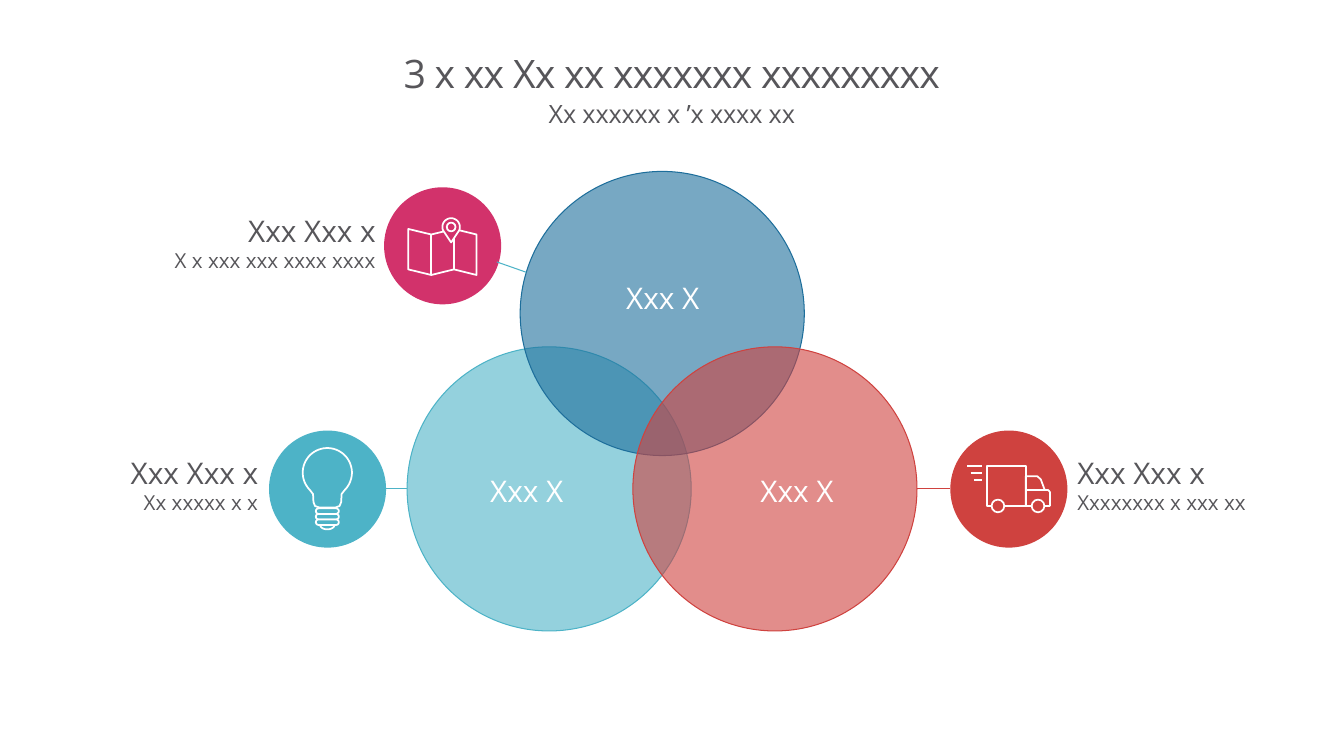
from math import cos, radians, sin

from lxml import etree
from pptx import Presentation
from pptx.dml.color import RGBColor
from pptx.enum.shapes import MSO_CONNECTOR, MSO_SHAPE
from pptx.enum.text import MSO_ANCHOR, MSO_AUTO_SIZE, PP_ALIGN
from pptx.oxml.ns import qn
from pptx.util import Cm, Pt

OVAL = MSO_SHAPE.OVAL
PILL = MSO_SHAPE.ROUNDED_RECTANGLE
STRAIGHT = MSO_CONNECTOR.STRAIGHT
TOP, MIDDLE = MSO_ANCHOR.TOP, MSO_ANCHOR.MIDDLE
NO_FIT, GROW = MSO_AUTO_SIZE.NONE, MSO_AUTO_SIZE.SHAPE_TO_FIT_TEXT
LEFT, CENTER, RIGHT = PP_ALIGN.LEFT, PP_ALIGN.CENTER, PP_ALIGN.RIGHT

COLORS = {"text": "57565A", "white": "FFFFFF", "teal": "4DB3C7",
          "blue": "1D6E9B", "red": "CF423F", "pink": "D2326B"}
FONT = "Open Sans"
VENN_SIZE = 7.16
BADGE_SIZE = 2.95
ICON_LINE = 1.25


def rgb(name):
    return RGBColor.from_string(COLORS[name])


# Text
def format_paragraph(paragraph, size, color, align, line_spacing):
    paragraph.alignment = align
    paragraph.line_spacing = line_spacing
    paragraph.space_before = Pt(0)
    for run in paragraph.runs:
        run.font.name = FONT
        run.font.size = Pt(size)
        run.font.color.rgb = rgb(color)


def fill_placeholder(holder, text, box, size, tracking, anchor):
    holder.left, holder.top, holder.width, holder.height = map(Cm, box)
    frame = holder.text_frame
    frame.margin_left = frame.margin_right = 0
    frame.margin_top = frame.margin_bottom = 0
    frame.vertical_anchor = anchor
    frame.auto_size = NO_FIT
    frame.text = text
    heading = frame.paragraphs[0]
    properties = heading._p.get_or_add_pPr()
    properties.set("marL", "0")
    properties.set("indent", "0")
    etree.SubElement(properties, qn("a:buNone"))
    format_paragraph(heading, size, "text", CENTER, 0.86)
    heading.runs[0].font._element.set("spc", str(tracking))


def add_text(shapes, lines, box, color, align):
    frame = shapes.add_textbox(*map(Cm, box)).text_frame
    frame.word_wrap = True
    frame.auto_size = GROW
    frame.text = "\n".join(lines)
    for paragraph, size in zip(frame.paragraphs, (21.3, 14.7)):
        format_paragraph(paragraph, size, color, align, 0.95)


# Shapes and lines
def paint(shape, fill=None, line=None, width=0.75, opacity=None):
    shape.shadow.inherit = False
    if fill:
        shape.fill.solid()
        shape.fill.fore_color.rgb = rgb(fill)
    else:
        shape.fill.background()
    if opacity:
        color = shape.fill._xPr.find(".//" + qn("a:srgbClr"))
        etree.SubElement(color, qn("a:alpha"), val=str(opacity * 1000))
    if line:
        shape.line.color.rgb = rgb(line)
        shape.line.width = Pt(width)
    else:
        shape.line.fill.background()


def add_circle(shapes, left, top, size, **style):
    paint(shapes.add_shape(OVAL, Cm(left), Cm(top), Cm(size), Cm(size)), **style)


def add_ring(shapes, x, y, radius, fill=None):
    add_circle(shapes, x - radius, y - radius, 2 * radius,
               fill=fill, line="white", width=ICON_LINE)


def add_outline(shapes, points, closed=True, fill=None):
    corners = [(Cm(x), Cm(y)) for x, y in points]
    builder = shapes.build_freeform(*corners[0], scale=1.0)
    builder.add_line_segments(corners[1:], close=closed)
    paint(builder.convert_to_shape(), fill, "white", ICON_LINE)


def add_line(shapes, start, end, color, width=0.75):
    line = shapes.add_connector(STRAIGHT, *map(Cm, start + end))
    line.line.color.rgb = rgb(color)
    line.line.width = Pt(width)
    etree.SubElement(line._element.spPr, qn("a:effectLst"))


def arc(x, y, radius_x, radius_y, first, last, step=6):
    return [(x + radius_x * cos(radians(angle)), y + radius_y * sin(radians(angle)))
            for angle in range(first, last + 1, step)]


# Icons
def draw_map(shapes, color):
    columns = [10.29, 10.87, 11.44, 12.01]
    tops = [5.77, 5.91, 5.77, 5.91]
    sheet_height = 1.02
    upper = list(zip(columns, tops))
    lower = [(x, y + sheet_height) for x, y in upper]
    add_outline(shapes, upper + lower[::-1])
    for fold in (1, 2):
        add_line(shapes, upper[fold], lower[fold], "white", ICON_LINE)
    pin_x, pin_y = 11.37, 5.72
    pin = arc(pin_x, pin_y, 0.22, 0.22, 156, 384)
    add_outline(shapes, pin + [(pin_x, 6.11)], fill=color)
    add_ring(shapes, pin_x, pin_y, 0.11)


def draw_bulb(shapes, color):
    x, y = 8.25, 11.91
    neck = [(0.36, 12.45), (0.35, 12.65), (0.31, 12.75), (0.2, 12.79)]
    right = [(x + offset, level) for offset, level in neck]
    left = [(x - offset, level) for offset, level in neck[::-1]]
    add_outline(shapes, arc(x, y, 0.62, 0.62, 135, 405) + right + left)
    for thread in range(3):
        ring = shapes.add_shape(PILL, Cm(x - 0.29), Cm(12.81 + 0.14 * thread),
                                Cm(0.58), Cm(0.14))
        ring.adjustments[0] = 0.5
        paint(ring, color, "white", ICON_LINE)
    add_outline(shapes, arc(x, 13.23, 0.18, 0.11, 0, 180), closed=False)


def draw_truck(shapes, color):
    front, floor = 25.85, 12.75
    add_outline(shapes, [(24.87, 11.75), (front, 11.75), (front, floor), (24.87, floor)])
    add_outline(shapes, [(front, 12), (26.14, 12), (26.23, 12.08), (26.33, 12.35),
                         (26.42, 12.35), (26.46, 12.4), (26.46, floor), (front, floor)])
    add_line(shapes, (front, 12.35), (26.33, 12.35), "white", ICON_LINE)
    for wheel in (25.15, 26.16):
        add_ring(shapes, wheel, floor, 0.16, color)
    for start, level in ((24.37, 11.75), (24.46, 11.92), (24.55, 12.1)):
        add_line(shapes, (start, level), (24.74, level), "white", ICON_LINE)


def add_badge(slide, left, top, color, draw_icon):
    shapes = slide.shapes.add_group_shape().shapes
    add_circle(shapes, left, top, BADGE_SIZE, fill=color)
    draw_icon(shapes, color)


def main():
    deck = Presentation()
    deck.slide_width, deck.slide_height = Cm(33.87), Cm(19.05)
    slide = deck.slides.add_slide(deck.slide_layouts[1])
    shapes = slide.shapes

    # Heading
    fill_placeholder(shapes.title, "3 x xx Xx xx xxxxxxx xxxxxxxxx",
                     (2.54, 0.79, 28.78, 2.26), 28, -50, MIDDLE)
    fill_placeholder(slide.placeholders[1], "Xx xxxxxx x ’x xxxx xx",
                     (2.54, 2.59, 28.78, 1.12), 18, -10, TOP)

    # Overlapping circles
    for left, top, color in ((10.26, 8.74, "teal"), (13.11, 4.32, "blue"),
                             (15.95, 8.74, "red")):
        add_circle(shapes, left, top, VENN_SIZE, fill=color, line=color, opacity=60)
    for left, top in ((10.67, 11.86), (14.1, 6.99), (17.48, 11.86)):
        add_text(shapes, ["Xxx X"], (left, top, 5.21, 1.12), "white", CENTER)

    # Captions
    for detail, left, top, width, align in (
            ("Xx xxxxx x x", 0, 11.4, 6.76, RIGHT),
            ("X x xxx xxx xxxx xxxx", 0.91, 5.31, 8.81, RIGHT),
            ("Xxxxxxxx x xxx xx", 26.9, 11.4, 6.97, LEFT)):
        add_text(shapes, ["Xxx Xxx x", detail], (left, top, width, 1.73), "text", align)

    # Badges with icons
    add_badge(slide, 23.95, 10.85, "red", draw_truck)
    add_badge(slide, 9.68, 4.72, "pink", draw_map)
    add_badge(slide, 6.78, 10.85, "teal", draw_bulb)

    # Links from badges to circles
    add_line(shapes, (23.11, 12.32), (23.95, 12.32), "red")
    add_line(shapes, (9.73, 12.32), (10.26, 12.32), "teal")
    add_line(shapes, (12.52, 6.6), (13.26, 6.86), "teal")

    deck.save("out.pptx")


if __name__ == "__main__":
    main()
